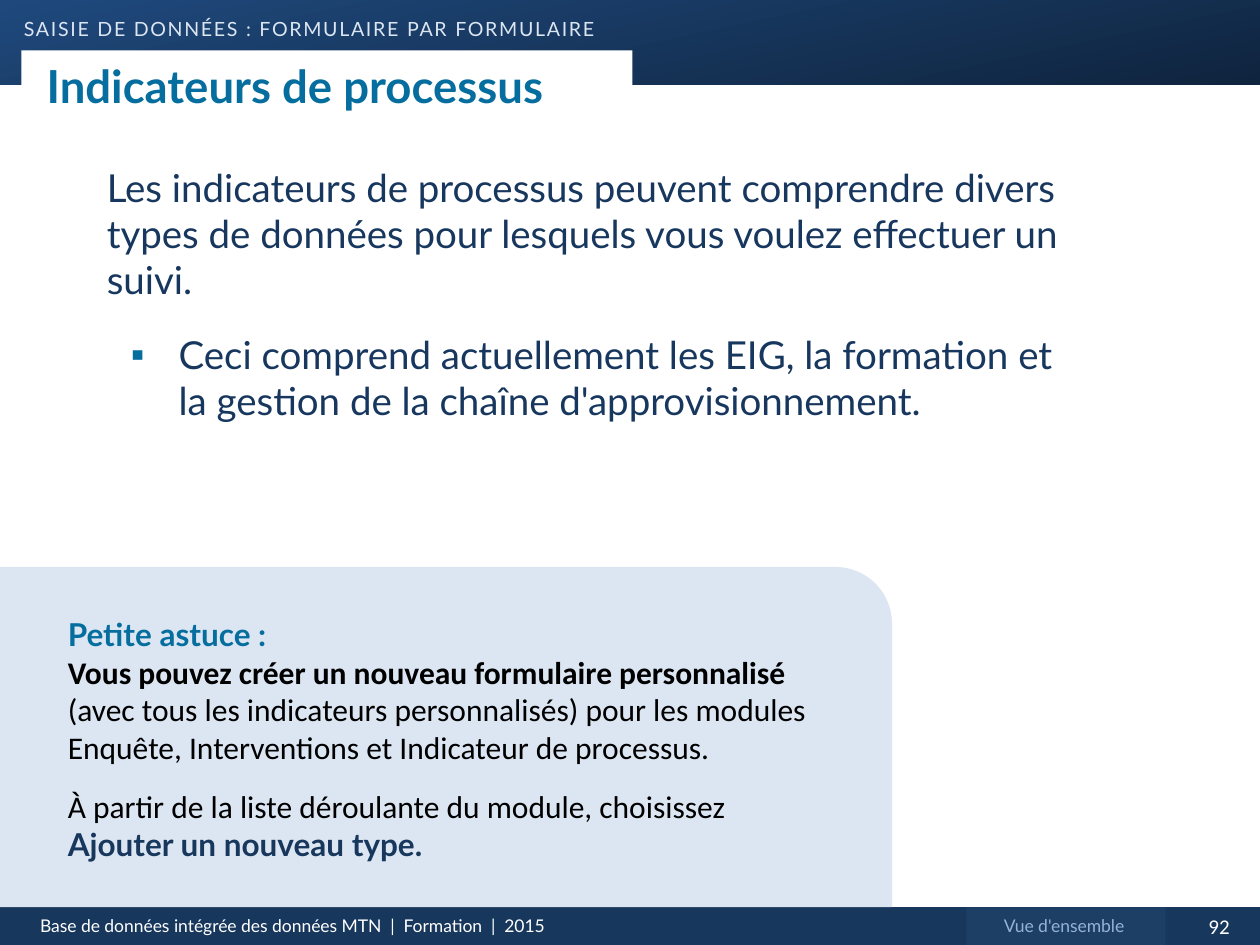
from lxml.etree import SubElement
from pptx import Presentation
from pptx.dml.color import RGBColor
from pptx.enum.shapes import MSO_SHAPE as Preset
from pptx.enum.text import MSO_ANCHOR as Anchor, MSO_AUTO_SIZE as AutoSize, PP_ALIGN as Align
from pptx.oxml.ns import qn
from pptx.util import Inches, Pt

COLORS = {
    "white": "FFFFFF", "black": "000000", "navy": "17375D", "body": "17375E",
    "teal": "066E9F", "pale": "DCE6F2", "tab": "1E3F65", "tab_text": "95B3D7",
    "band_start": "1F497D", "band_end": "0F243E",
}
PANELS = [
    (Preset.RECTANGLE, (0, 0, 10, 0.67), ("band_start", "band_end")),
    (Preset.RECTANGLE, (0, 7.2, 10, 0.3), "navy"),
    (Preset.RECTANGLE, (7.67, 7.2, 1.58, 0.3), "tab"),
    (Preset.ROUND_1_RECTANGLE, (0, 4.5, 7.08, 2.7), "pale"),
]
TITLE = ("Indicateurs de processus", (0.17, 0.4, 4.85, 0.56))

FOOTER = {"name": "Lato", "size": 10, "color": "white"}
SECTION = {"name": "Lato", "size": 14, "color": "pale"}
BODY = {"name": "Lato", "size": 22, "color": "body"}
HEADING = {"name": "Lato", "size": 18, "color": "teal", "bold": True}
TIP = {"name": "Calibri", "size": 18, "color": "black"}
CENTER = {"alignment": Align.CENTER}
TEXTS = [
    ((9.35, 7.2, 0.65, 0.3), [(CENTER, [("92", {**TIP, "size": 12, "color": "white"})])]),
    ((0.22, 7.21, 4.53, 0.27), [
        ({}, [("Base de données intégrée des données MTN\u00a0 |\u00a0 Formation\u00a0 |\u00a0 2015", FOOTER)]),
    ]),
    ((7.67, 7.21, 1.55, 0.27), [(CENTER, [("Vue d'ensemble", {**FOOTER, "color": "tab_text"})])]),
    ((0.75, 1.25, 7.83, 3.17), [
        ({"space_before": Pt(4.4), "space_after": Pt(12)}, [
            ("Les indicateurs de processus peuvent comprendre divers types de données "
             "pour lesquels vous voulez effectuer un suivi.", BODY)]),
        ({"space_before": Pt(4.4), "bullet": "▪"}, [
            ("Ceci comprend actuellement les EIG, la formation et la gestion de la chaîne "
             "d'approvisionnement.", BODY)]),
    ]),
    ((0.44, 4.83, 6.14, 2.09), [
        ({}, [("Petite astuce :", HEADING)]),
        ({"space_after": Pt(12)}, [
            ("Vous pouvez créer un nouveau formulaire personnalisé", {**TIP, "bold": True}),
            (" (avec tous les indicateurs personnalisés) pour les modules Enquête, "
             "Interventions et Indicateur de processus.", TIP)]),
        ({}, [("À partir de la liste déroulante du module, choisissez ", TIP),
              ("Ajouter un nouveau type.", {**HEADING, "color": "navy"})]),
    ]),
]
BREADCRUMB = ((0.19, 0.05, 4.81, 0.34), [
    ({"space_before": Pt(2.8)}, [("saisie de données : formulaire par formulaire", SECTION)]),
])


def rgb(name):
    return RGBColor.from_string(COLORS[name])


def assign(target, values):
    for name, value in values.items():
        setattr(target, name, value)


def format_font(font, style):
    assign(font, {"name": style["name"], "size": Pt(style["size"]), "bold": style.get("bold", False)})
    font.color.rgb = rgb(style["color"])


def add_bullet(paragraph, symbol):
    properties = paragraph._p.get_or_add_pPr()
    properties.set("marL", str(Inches(0.57)))
    properties.set("indent", str(Inches(-0.38)))
    color = SubElement(properties, qn("a:buClr"))
    SubElement(color, qn("a:srgbClr"), val=COLORS["teal"])
    SubElement(properties, qn("a:buFont"), typeface="Arial")
    SubElement(properties, qn("a:buChar"), char=symbol)


def add_panel(slide, preset, box, fill):
    shape = slide.shapes.add_shape(preset, *map(Inches, box))
    shape.shadow.inherit = False
    shape.line.fill.background()
    if isinstance(fill, tuple):
        shape.fill.gradient()
        shape.fill.gradient_angle = 282
        for stop, name in zip(shape.fill.gradient_stops, fill):
            stop.color.rgb = rgb(name)
    else:
        shape.fill.solid()
        shape.fill.fore_color.rgb = rgb(fill)


def add_text(slide, box, paragraphs):
    frame = slide.shapes.add_textbox(*map(Inches, box)).text_frame
    frame.word_wrap = True
    for index, (layout, runs) in enumerate(paragraphs):
        paragraph = frame.add_paragraph() if index else frame.paragraphs[0]
        assign(paragraph, {name: value for name, value in layout.items() if name != "bullet"})
        if "bullet" in layout:
            add_bullet(paragraph, layout["bullet"])
        for text, style in runs:
            run = paragraph.add_run()
            run.text = text
            format_font(run.font, style)
    return frame


def place_title(slide, text, box):
    title = slide.shapes.title
    assign(title, dict(zip(("left", "top", "width", "height"), map(Inches, box))))
    title.fill.solid()
    title.fill.fore_color.rgb = rgb("white")
    frame = title.text_frame
    frame.text = text
    assign(frame, {"margin_left": Inches(0.2), "margin_right": Inches(0.2), "word_wrap": True,
                   "vertical_anchor": Anchor.MIDDLE, "auto_size": AutoSize.NONE})
    frame.paragraphs[0].alignment = Align.LEFT
    format_font(frame.paragraphs[0].runs[0].font, {**HEADING, "size": 26})
    title.element.getparent().append(title.element)


def main():
    """Build the process indicators slide."""
    presentation = Presentation()
    assign(presentation, {"slide_width": Inches(10), "slide_height": Inches(7.5)})
    slide = presentation.slides.add_slide(presentation.slide_layouts[5])
    for panel in PANELS:
        add_panel(slide, *panel)
    for text in TEXTS:
        add_text(slide, *text)
    breadcrumb = add_text(slide, *BREADCRUMB)
    breadcrumb.margin_left = breadcrumb.margin_right = 0
    properties = breadcrumb.paragraphs[0].runs[0].font._element
    properties.set("cap", "small")
    properties.set("spc", "100")
    place_title(slide, *TITLE)
    presentation.save("out.pptx")


if __name__ == "__main__":
    main()
